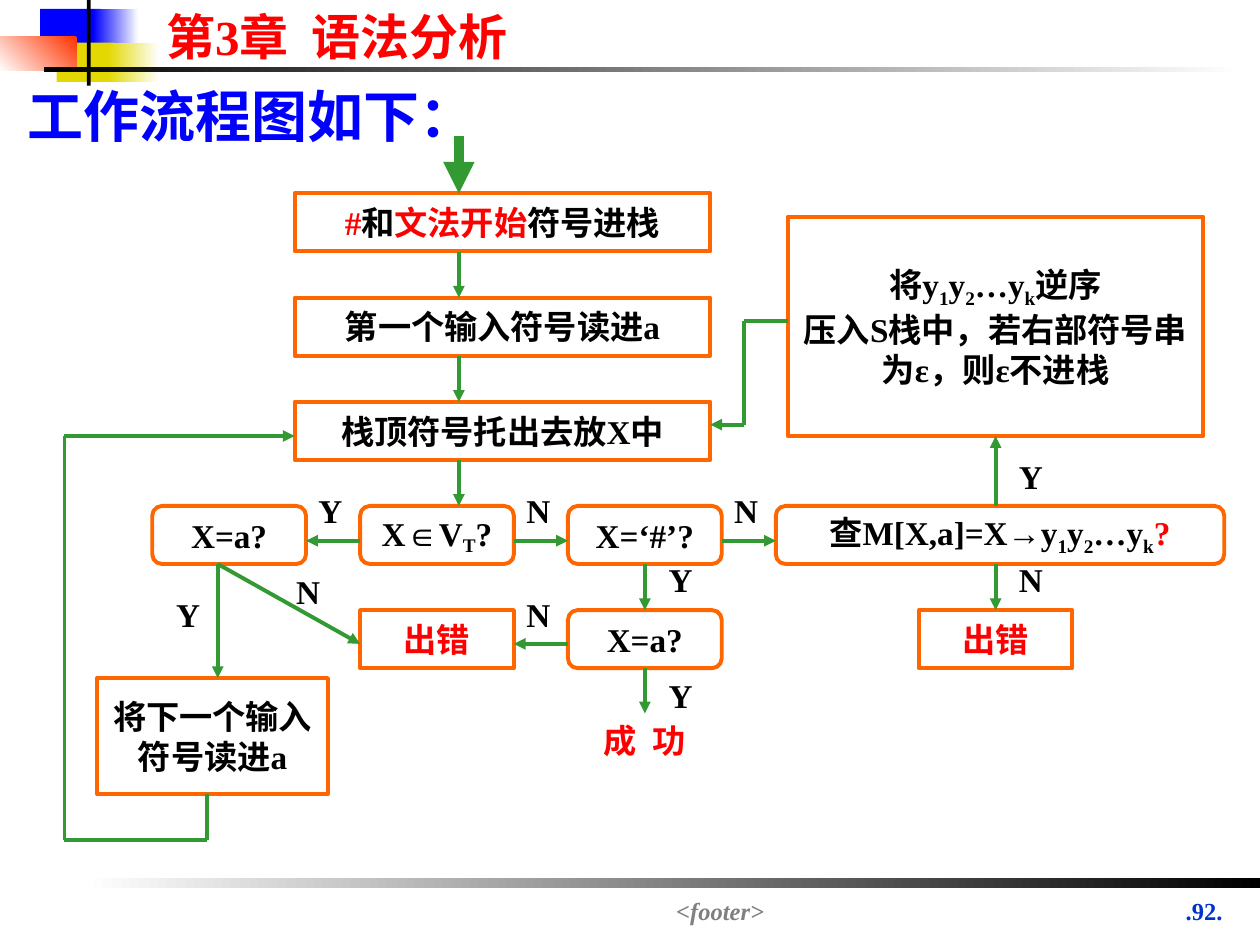
from dataclasses import dataclass
from itertools import pairwise
from typing import NamedTuple, Optional

from lxml.etree import SubElement
from pptx import Presentation
from pptx.dml.color import RGBColor as Rgb
from pptx.enum.shapes import MSO_CONNECTOR as Link
from pptx.enum.shapes import MSO_SHAPE as Kind
from pptx.enum.text import MSO_ANCHOR as Anchor
from pptx.enum.text import MSO_AUTO_SIZE as Fit
from pptx.enum.text import PP_ALIGN as Align
from pptx.oxml.ns import qn
from pptx.util import Cm, Pt

BLACK = Rgb(0x00, 0x00, 0x00)
WHITE = Rgb(0xFF, 0xFF, 0xFF)
RED = Rgb(0xFF, 0x00, 0x00)
BLUE = Rgb(0x00, 0x00, 0xFF)
YELLOW = Rgb(0xE3, 0xD8, 0x01)
CORAL = Rgb(0xFF, 0x33, 0x00)
ORANGE = Rgb(0xFF, 0x66, 0x00)
GREEN = Rgb(0x33, 0x99, 0x33)
GRAY = Rgb(0x80, 0x80, 0x80)
NAVY = Rgb(0x00, 0x33, 0xCC)

SERIF = "Times New Roman"
SIZE = 19
HIGH, SLIM, WIDE = 1.17, 3.1, 8.38
ROWS = [3.9 + 2.1 * i for i in range(5)]
COLS = [3.07 + 4.19 * i for i in range(4)]
FEET = [y + HIGH for y in ROWS]
ENDS = [x + SLIM for x in COLS]
STEP, TOP, STACK = Kind.FLOWCHART_PROCESS, 0, 15.88
TEST, FOOT = Kind.FLOWCHART_ALTERNATE_PROCESS, 2
MAIN, FORK, MATCH, ASK = 9.25, 4.39, COLS[2] + SLIM / 2, STACK + WIDE / 2
MID, LOW = 10.9, 12.98


class Bit(NamedTuple):
    text: str
    color: Rgb = BLACK
    base: int = 0
    font: str = SERIF
    gap: float = 0


class Area(NamedTuple):
    x: float
    y: float
    w: float
    h: float


@dataclass
class Band:
    area: Area
    left: Rgb
    right: Optional[Rgb] = None
    angle: int = 0


@dataclass
class Node:
    name: str
    kind: Kind
    area: Area
    lines: list


@dataclass
class Route:
    points: list
    tip: bool = True
    width: float = 2.25
    start: str = ""
    end: str = ""


def low(text: str, base: int = -25) -> Bit:
    return Bit(text, base=base)


CHAIN = [Bit("y"), low("1"), Bit("y"), low("2"), Bit("…y"), low("k")]
FAULT = [[Bit("出错", RED)]]

BANDS = [
    Band(Area(0.81, 0.18, 1.22, 0.79), BLUE),
    Band(Area(1.88, 0.18, 0.91, 0.79), BLUE, WHITE),
    Band(Area(1.14, 0.86, 1.17, 0.79), YELLOW),
    Band(Area(2.18, 0.86, 1.02, 0.79), YELLOW, WHITE),
    Band(Area(0, 0.74, 1.55, 0.69), CORAL, WHITE, 225),
    Band(Area(1.75, 0, 0.08, 1.73), BLACK),
    Band(Area(0.89, 1.35, 24.16, 0.1), BLACK, WHITE),
    Band(Area(1.7, 17.7, 23.7, 0.2), WHITE, BLACK),
]

NODES = [
    Node("push", STEP, Area(5.94, ROWS[0], WIDE, HIGH),
         [[Bit("#", RED), Bit("和"), Bit("文法开始", RED), Bit("符号进栈")]]),
    Node("read", STEP, Area(5.94, ROWS[1], WIDE, HIGH), [[Bit("第一个输入符号读进a")]]),
    Node("pop", STEP, Area(5.94, ROWS[2], WIDE, HIGH), [[Bit("栈顶符号托出去放X中")]]),
    Node("stack", STEP, Area(STACK, 4.37, WIDE, 4.42),
         [[Bit("将"), *CHAIN, Bit("逆序")],
          [Bit("压入S栈中，若右部符号串")], [Bit("为ε，则ε不进栈")]]),
    Node("same", TEST, Area(COLS[0], ROWS[3], SLIM, HIGH), [[Bit("X=a?")]]),
    Node("mark", TEST, Area(COLS[2], ROWS[3], SLIM, HIGH), [[Bit("X=‘#’?")]]),
    Node("query", TEST, Area(COLS[3], ROWS[3], 9.04, HIGH),
         [[Bit("查M[X,a]=X→"), *CHAIN, Bit("?", RED)]]),
    Node("last", TEST, Area(COLS[2], ROWS[4], SLIM, HIGH), [[Bit("X=a?")]]),
    Node("next", STEP, Area(1.96, 13.67, 4.65, 2.34),
         [[Bit("将下一个输入")], [Bit("符号读进a")]]),
    Node("term", TEST, Area(COLS[1], ROWS[3], SLIM, HIGH),
         [[Bit("X"), Bit("∈", font="Arial"), Bit("V"), low("T", -20), Bit("?")]]),
    Node("fail", STEP, Area(COLS[1], ROWS[4], SLIM, HIGH), FAULT),
    Node("miss", STEP, Area(ASK - SLIM / 2, ROWS[4], SLIM, HIGH), FAULT),
]

ROUTES = [
    Route([(MAIN, 2.74), (MAIN, ROWS[0])], width=6),
    *[Route([(MAIN, a), (MAIN, b)]) for a, b in zip(FEET[:3], ROWS[1:4])],
    Route([(ASK, ROWS[3]), (ASK, 8.79)], end="stack"),
    Route([(ASK, FEET[3]), (ASK, ROWS[4])], end="miss"),
    Route([(COLS[1], MID), (ENDS[0], MID)]),
    Route([(ENDS[1], MID), (COLS[2], MID)]),
    Route([(ENDS[2], MID), (COLS[3], MID)]),
    Route([(MATCH, FEET[3]), (MATCH, ROWS[4])], start="mark", end="last"),
    Route([(COLS[2], LOW), (ENDS[1], LOW)]),
    Route([(FORK, FEET[3]), (COLS[1], LOW)]),
    Route([(STACK, 6.48), (14.99, 6.48), (14.99, 8.56), (14.32, 8.56)]),
    Route([(FORK, FEET[3]), (FORK, 13.67)]),
    Route([(4.17, 16), (4.17, 16.94), (1.3, 16.94), (1.3, 8.79), (5.94, 8.79)]),
    Route([(MATCH, FEET[4]), (MATCH, 14.38)], start="last"),
]

MARKS = {
    "Y": [(20.29, 9.07), (6.17, 9.75), (13.23, 11.15), (13.23, 13.49), (3.3, 11.86)],
    "N": [(5.72, 11.4), (10.36, 11.86), (10.36, 9.75), (14.55, 9.75), (20.29, 11.15)],
}


def place(area: Area) -> list:
    return [Cm(v) for v in area]


def write(shape, lines: list, size: float = SIZE, align=Align.LEFT,
          anchor=Anchor.TOP, wrap: bool = False, slant: bool = False) -> None:
    frame = shape.text_frame
    frame.auto_size, frame.word_wrap = Fit.NONE, wrap
    frame.vertical_anchor = anchor
    for i, line in enumerate(lines):
        para = frame.add_paragraph() if i else frame.paragraphs[0]
        para.alignment = align
        for bit in line:
            run = para.add_run()
            run.text = bit.text
            font = run.font
            font.name, font.size, font.bold = bit.font, Pt(size), True
            font.color.rgb = bit.color
            if slant:
                font.italic = True
            props = run._r.get_or_add_rPr()
            if bit.base:
                props.set("baseline", str(bit.base * 1000))
            if bit.gap:
                props.set("spc", str(int(bit.gap * 100)))


def label(slide, area: Area, line: list, **style) -> None:
    write(slide.shapes.add_textbox(*place(area)), [line], **style)


def paint(slide, band: Band) -> None:
    shape = slide.shapes.add_shape(Kind.RECTANGLE, *place(band.area))
    shape.shadow.inherit = False
    shape.line.fill.background()
    if band.right is None:
        shape.fill.solid()
        shape.fill.fore_color.rgb = band.left
        return
    shape.fill.gradient()
    shape.fill.gradient_angle = band.angle
    for stop, color in zip(shape.fill.gradient_stops, (band.left, band.right)):
        stop.color.rgb = color


def draw(slide, node: Node):
    shape = slide.shapes.add_shape(node.kind, *place(node.area))
    shape.shadow.inherit = False
    shape.fill.background()
    shape.line.color.rgb, shape.line.width = ORANGE, Pt(2.25)
    write(shape, node.lines, align=Align.CENTER, anchor=Anchor.MIDDLE)
    return shape


def trace(slide, route: Route, boxes: dict) -> None:
    for a, b in pairwise(route.points):
        wire = slide.shapes.add_connector(Link.STRAIGHT, *map(Cm, (*a, *b)))
        wire.line.color.rgb, wire.line.width = GREEN, Pt(route.width)
        if route.tip and b == route.points[-1]:
            SubElement(wire.line._get_or_add_ln(), qn("a:tailEnd"), type="triangle")
        SubElement(wire._element.spPr, qn("a:effectLst"))
        if route.start:
            wire.begin_connect(boxes[route.start], FOOT)
        if route.end:
            wire.end_connect(boxes[route.end], FOOT if b[1] < a[1] else TOP)


def main() -> None:
    deck = Presentation()
    deck.slide_width, deck.slide_height = Cm(25.4), Cm(19.05)
    slide = deck.slides.add_slide(deck.slide_layouts[5])
    for band in BANDS:
        paint(slide, band)
    label(slide, Area(23.22, 17.93, 2.11, 1.45), [Bit(".92.", NAVY)],
          size=14, align=Align.CENTER, wrap=True)
    label(slide, Area(5.11, 17.93, 18.82, 0.66), [Bit("<footer>", GRAY)],
          size=14, align=Align.CENTER, wrap=True, slant=True)
    label(slide, Area(3.1, 0, 8.2, 1.45),
          [Bit("第3章", RED), Bit(" ", RED, gap=7), Bit("语法分析", RED)], size=28)
    title = slide.shapes.title
    title.left, title.top, title.width, title.height = place(Area(0.3, 1.52, 9.55, 1.63))
    write(title, [[Bit("工作流程图如下：", BLUE)]], size=32)
    boxes = {node.name: draw(slide, node) for node in NODES}
    for route in ROUTES:
        trace(slide, route, boxes)
    label(slide, Area(11.91, 14.4, 2.13, 1.07),
          [Bit("成", RED), Bit(" ", RED, gap=4.75), Bit("功", RED)])
    for text, spots in MARKS.items():
        for x, y in spots:
            label(slide, Area(x, y, 0.99, 1.07), [Bit(text)])
    deck.save("out.pptx")


if __name__ == "__main__":
    main()
